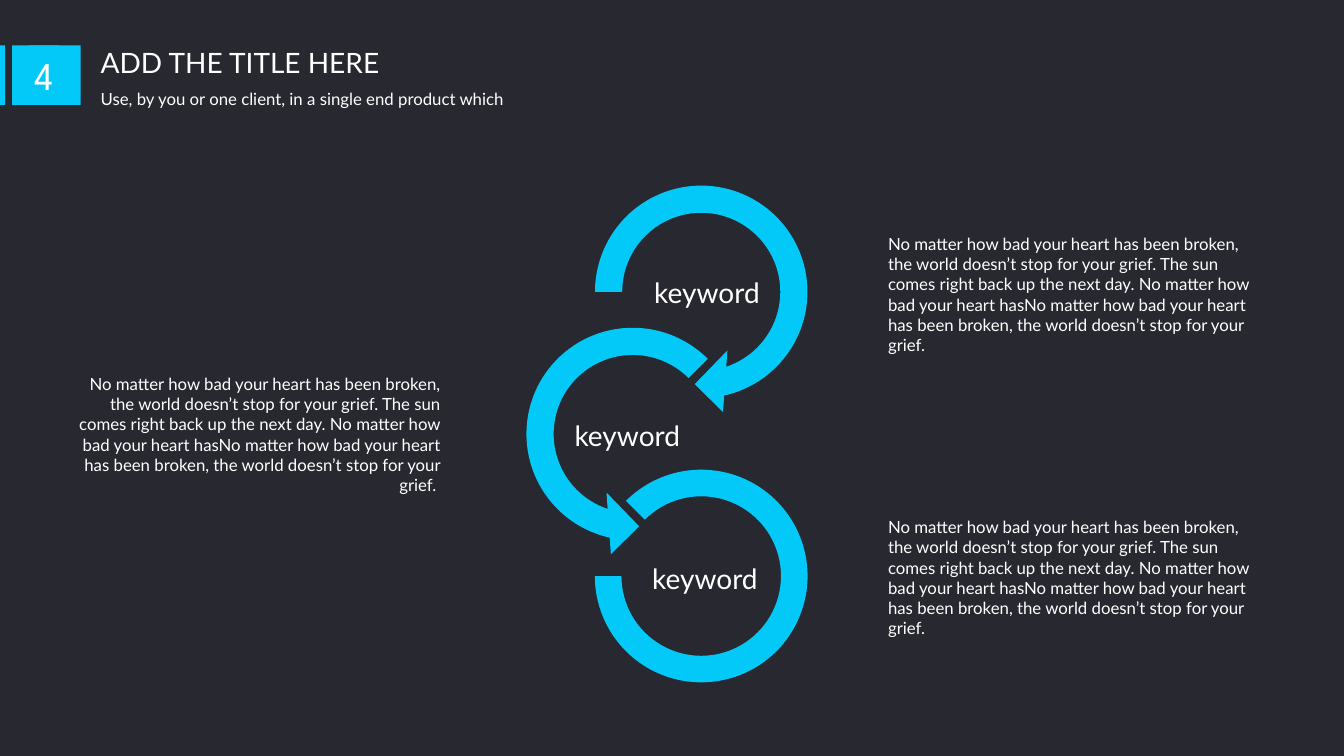
from dataclasses import dataclass

from pptx import Presentation
from pptx import util as u
from pptx.dml import color
from pptx.enum import shapes, text


@dataclass(frozen=True)
class Theme:
    background: color.RGBColor = color.RGBColor(0x28, 0x28, 0x30)
    accent: color.RGBColor = color.RGBColor(0x02, 0xC9, 0xF8)
    ink: color.RGBColor = color.RGBColor(0xFF, 0xFF, 0xFF)
    body_font: str = "Lato"
    number_font: str = "League Spartan"
    body_size: int = 12
    heading_size: int = 20
    number_size: int = 28


@dataclass(frozen=True)
class Box:
    left: float
    top: float
    width: float
    height: float

    def lengths(self) -> list[u.Length]:
        return [u.Inches(v) for v in (self.left, self.top, self.width, self.height)]


@dataclass(frozen=True)
class Label:
    box: Box
    wording: str
    size: int
    alignment: text.PP_ALIGN = text.PP_ALIGN.LEFT


@dataclass(frozen=True)
class Ring:
    kind: shapes.MSO_SHAPE
    box: Box
    adjustments: tuple[float, ...]


def degrees(angle: float) -> float:
    """Convert degrees to the scale of shape adjustments."""
    return angle * 0.6


THEME = Theme()
SHAPE = shapes.MSO_SHAPE
ARROW_SIZE = 2.45
HEAD_ANGLE = degrees(19.04)
BODY = (
    "No matter how bad your heart has been broken, the world doesn’t stop for "
    "your grief. The sun comes right back up the next day. No matter how bad your "
    "heart hasNo matter how bad your heart has been broken, the world doesn’t "
    "stop for your grief."
)

RINGS = [
    Ring(SHAPE.CIRCULAR_ARROW, Box(5.73, 1.67, ARROW_SIZE, ARROW_SIZE),
         (0.11, HEAD_ANGLE, degrees(75), degrees(180), 1 / 8)),
    Ring(SHAPE.LEFT_CIRCULAR_ARROW, Box(5.05, 3.08, ARROW_SIZE, ARROW_SIZE),
         (0.11, HEAD_ANGLE, degrees(105), degrees(315), 1 / 8)),
    Ring(SHAPE.BLOCK_ARC, Box(5.9, 4.66, 2.11, 2.11),
         (degrees(225), degrees(180), 1 / 8)),
]
KEYWORDS = [
    Label(Box(left, 2.68 + 1.42 * row, 1.32, 0.44), "keyword", THEME.heading_size)
    for row, left in enumerate((6.39, 5.6, 6.37))
]
DESCRIPTIONS = [
    Label(Box(8.71, 2.27, 3.9, 1.31), BODY, THEME.body_size),
    Label(Box(0.57, 3.66, 3.9, 1.31), BODY + " ", THEME.body_size, text.PP_ALIGN.RIGHT),
    Label(Box(8.71, 5.08, 3.9, 1.31), BODY, THEME.body_size),
]
HEADINGS = [
    Label(Box(0.9, 0.4, 3.96, 0.44), "ADD THE TITLE HERE", THEME.heading_size),
    Label(Box(0.9, 0.83, 6.67, 0.3),
          "Use, by you or one client, in a single end product which", THEME.body_size),
]
BADGE_BARS = [Box(0, 0.45, 0.05, 0.59), Box(0.12, 0.45, 0.68, 0.59)]
BADGE_NUMBER = Label(Box(0.29, 0.45, 0.3, 0.59), "4", THEME.number_size,
                     text.PP_ALIGN.CENTER)


def add_filled(container, kind: shapes.MSO_SHAPE, box: Box):
    shape = container.add_shape(kind, *box.lengths())
    shape.shadow.inherit = False
    shape.fill.solid()
    shape.fill.fore_color.rgb = THEME.accent
    shape.line.fill.background()
    return shape


def write(shape, label: Label, font_name: str) -> None:
    frame = shape.text_frame
    frame.text = label.wording
    paragraph = frame.paragraphs[0]
    paragraph.alignment = label.alignment
    font = paragraph.runs[0].font
    font.name = font_name
    font.size = u.Pt(label.size)
    font.color.rgb = THEME.ink


def add_label(slide, label: Label) -> None:
    shape = slide.shapes.add_textbox(*label.box.lengths())
    write(shape, label, THEME.body_font)
    shape.text_frame.word_wrap = True
    shape.text_frame.auto_size = text.MSO_AUTO_SIZE.SHAPE_TO_FIT_TEXT


def add_rings(slide) -> None:
    group = slide.shapes.add_group_shape()
    for ring in RINGS:
        shape = add_filled(group.shapes, ring.kind, ring.box)
        for index, value in enumerate(ring.adjustments):
            shape.adjustments[index] = value


def add_badge(slide) -> None:
    for bar in BADGE_BARS:
        add_filled(slide.shapes, SHAPE.RECTANGLE, bar)
    number = add_filled(slide.shapes, SHAPE.RECTANGLE, BADGE_NUMBER.box)
    write(number, BADGE_NUMBER, THEME.number_font)
    number.text_frame.word_wrap = False
    number.text_frame.vertical_anchor = text.MSO_ANCHOR.MIDDLE


def main() -> None:
    presentation = Presentation()
    presentation.slide_width = u.Inches(13.33)
    presentation.slide_height = u.Inches(7.5)
    slide = presentation.slides.add_slide(presentation.slide_layouts[6])
    slide.background.fill.solid()
    slide.background.fill.fore_color.rgb = THEME.background

    # Chain of rings
    add_rings(slide)

    # Keywords, descriptions and headings
    for label in KEYWORDS + DESCRIPTIONS + HEADINGS:
        add_label(slide, label)

    # Section number
    add_badge(slide)

    presentation.save("out.pptx")


if __name__ == "__main__":
    main()
